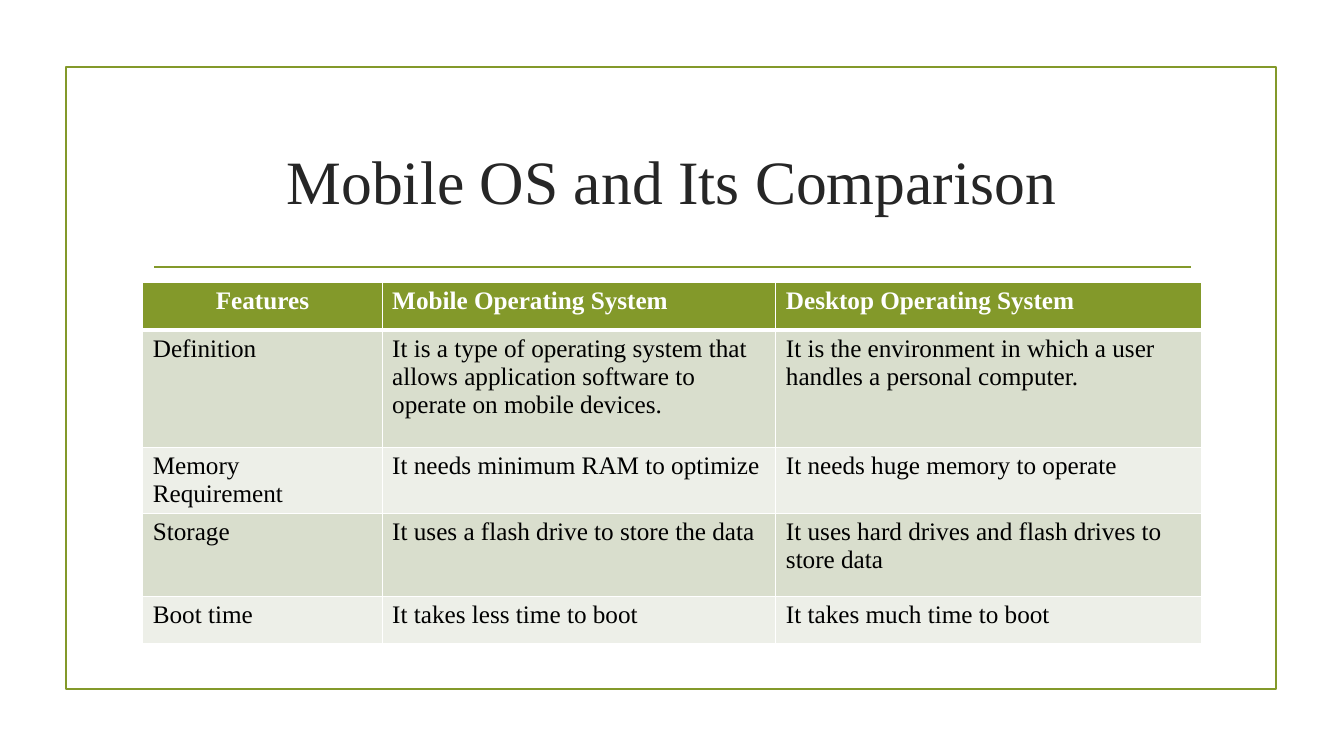
import pptx
import pptx.dml.color
import pptx.enum.shapes
import pptx.enum.text
import pptx.oxml
import pptx.oxml.ns
import pptx.util
from dataclasses import dataclass


@dataclass(frozen=True)
class Theme:
    font: str = "Times New Roman"
    accent: str = "83992A"
    title: str = "262626"
    body: str = "000000"
    white: str = "FFFFFF"
    bands: tuple = ("D9DECD", "EDEFE8")
    title_size: int = 44
    table_size: int = 18
    line_width: float = 1.25


theme = Theme()
PX = 9525  # EMU per px, 96 px to the inch
rgb = pptx.dml.color.RGBColor.from_string
MSO_ANCHOR = pptx.enum.text.MSO_ANCHOR
PP_ALIGN = pptx.enum.text.PP_ALIGN


def style_text(tf, size, color, bold=False, align=PP_ALIGN.LEFT):
    for p in tf.paragraphs:
        p.alignment = align
        for r in p.runs:
            r.font.name = theme.font
            r.font.size = pptx.util.Pt(size)
            r.font.bold = bold
            r.font.color.rgb = rgb(color)


def add_border(cell, side, points):
    """Draw one white edge; call before the cell is filled."""
    cell._tc.get_or_add_tcPr().append(pptx.oxml.parse_xml(
        f'<a:ln{side} {pptx.oxml.ns.nsdecls("a")} w="{pptx.util.Pt(points)}">'
        f'<a:solidFill><a:srgbClr val="{theme.white}"/></a:solidFill></a:ln{side}>'))


prs = pptx.Presentation()
prs.slide_width = 1280 * PX
prs.slide_height = 720 * PX
s = prs.slides.add_slide(prs.slide_layouts[5])

# Frame and rule
frame = s.shapes.add_shape(pptx.enum.shapes.MSO_SHAPE.RECTANGLE,
                           63 * PX, 64 * PX, 1152 * PX, 592 * PX)
frame.shadow.inherit = False
frame.fill.background()
rule = s.shapes.add_connector(pptx.enum.shapes.MSO_CONNECTOR.STRAIGHT,
                              147 * PX, 254 * PX, 1134 * PX, 254 * PX)
rule._element.spPr.append(pptx.oxml.parse_xml(
    f'<a:effectLst {pptx.oxml.ns.nsdecls("a")}/>'))
for outlined in (frame, rule):
    outlined.line.color.rgb = rgb(theme.accent)
    outlined.line.width = pptx.util.Pt(theme.line_width)

# Title
title = s.shapes.title
title.left, title.top, title.width, title.height = 136 * PX, 103 * PX, 1008 * PX, 137 * PX
title.text_frame.text = "Mobile OS and Its Comparison"
title.text_frame.vertical_anchor = MSO_ANCHOR.MIDDLE
style_text(title.text_frame, theme.title_size, theme.title, align=PP_ALIGN.CENTER)

# Comparison table
rows = [
    ("Features", "Mobile Operating System", "Desktop Operating System"),
    ("Definition",
     "It is a type of operating system that allows application software to operate on mobile devices.",
     "It is the environment in which a user handles a personal computer."),
    ("Memory Requirement", "It needs minimum RAM to optimize", "It needs huge memory to operate"),
    ("Storage", "It uses a flash drive to store the data",
     "It uses hard drives and flash drives to store data"),
    ("Boot time", "It takes less time to boot", "It takes much time to boot"),
]
col_widths = (228, 375, 405)
row_heights = (45, 112, 63, 79, 45)

table = s.shapes.add_table(len(rows), len(col_widths), 136 * PX, 269 * PX,
                           sum(col_widths) * PX, sum(row_heights) * PX).table
table.horz_banding = False
for column, width in zip(table.columns, col_widths):
    column.width = width * PX
for i, (texts, height) in enumerate(zip(rows, row_heights)):
    table.rows[i].height = height * PX
    header = i == 0
    fill = theme.accent if header else theme.bands[(i - 1) % 2]
    for j, text in enumerate(texts):
        cell = table.cell(i, j)
        add_border(cell, "L", 1)
        add_border(cell, "R", 1)
        add_border(cell, "T", 3 if i == 1 else 1)
        add_border(cell, "B", 3 if header else 1)
        cell.fill.solid()
        cell.fill.fore_color.rgb = rgb(fill)
        cell.text_frame.text = text
        style_text(cell.text_frame, theme.table_size,
                   theme.white if header else theme.body, bold=header,
                   align=PP_ALIGN.CENTER if header and j == 0 else PP_ALIGN.LEFT)

prs.save("out.pptx")
